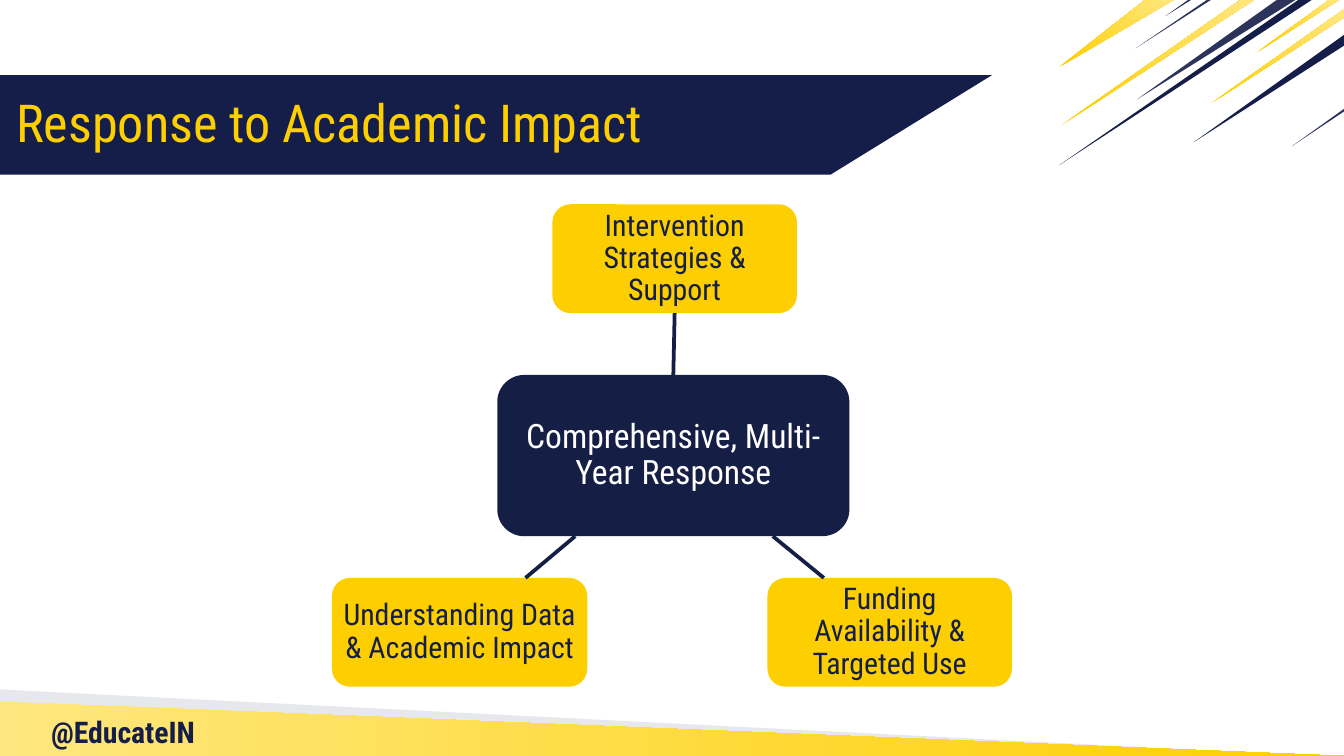
from dataclasses import dataclass

from lxml.etree import SubElement
from pptx import Presentation
from pptx.dml.color import RGBColor
from pptx.enum.shapes import MSO_CONNECTOR, MSO_SHAPE
from pptx.enum.text import MSO_ANCHOR, PP_ALIGN
from pptx.oxml.ns import qn
from pptx.util import Inches, Pt


@dataclass(frozen=True)
class Theme:
    font: str = "Roboto Condensed"
    navy: str = "151E49"
    node_navy: str = "151F46"
    slate: str = "2C345B"
    mist: str = "E7E8EC"
    gold: str = "FECF00"
    pale_gold: str = "FEE77F"
    white: str = "FFFFFF"
    title_size: int = 28
    hub_size: int = 18
    label_size: int = 16


THEME = Theme()
WIDTH = 10
HEIGHT = WIDTH * 9 / 16
RISING = (THEME.gold, THEME.pale_gold, 35)
ACROSS = (THEME.pale_gold, THEME.gold, 0)

# Colour or gradient, then corner points
BANDS = [
    (THEME.mist, [(0, 5.13), (0, HEIGHT), (8.9, 5.58)]),
    (THEME.navy, [(0, 0.56), (0, 1.3), (6.18, 1.3), (7.38, 0.56)]),
]
STREAKS = [
    (RISING, [(9.35, 0.39), (9.96, 0), (9.89, 0)]),
    (THEME.navy, [(7.88, 1.23), (9.76, 0), (9.66, 0)]),
    (RISING, [(8.52, 0), (7.88, 0.5), (8.73, 0)]),
    (RISING, [(10, 0.13), (10, 0.07), (9.01, 0.77)]),
    (THEME.slate, [(9.64, 0), (9.5, 0), (8.46, 0.74)]),
    (THEME.navy, [(8.88, 1.06), (10, 0.34), (10, 0.26)]),
    (THEME.slate, [(10, 0.83), (10, 0.81), (9.61, 1.09)]),
    (THEME.navy, [(8.67, 0.12), (8.86, 0), (8.84, 0)]),
    (RISING, [(7.9, 0.93), (9.33, 0), (9.23, 0)]),
    (THEME.slate, [(8.45, 0.36), (9.01, 0), (8.98, 0)]),
]
FOOTER = [(ACROSS, [(0, 5.22), (0, HEIGHT), (WIDTH, HEIGHT)])]


def set_all(target, values):
    for name, value in values.items():
        setattr(target, name, value)


def paint(shape, colouring):
    if isinstance(colouring, tuple):
        *colours, angle = colouring
        shape.fill.gradient()
        shape.fill.gradient_angle = angle
        for stop, colour in zip(shape.fill.gradient_stops, colours):
            stop.color.rgb = RGBColor.from_string(colour)
    else:
        shape.fill.solid()
        shape.fill.fore_color.rgb = RGBColor.from_string(colouring)
    shape.line.fill.background()
    shape.shadow.inherit = False


def add_polygons(slide, polygons):
    for colouring, corners in polygons:
        start, *others = [(Inches(x), Inches(y)) for x, y in corners]
        builder = slide.shapes.build_freeform(*start)
        builder.add_line_segments(others, close=True)
        paint(builder.convert_to_shape(), colouring)


def write(shape, text, size, colour, inset, bold=False,
          align=PP_ALIGN.LEFT, anchor=MSO_ANCHOR.MIDDLE, spacing=0.9):
    frame = shape.text_frame
    margins = dict.fromkeys(
        ("margin_left", "margin_top", "margin_right", "margin_bottom"), Inches(inset))
    set_all(frame, {"text": text, "word_wrap": True, "vertical_anchor": anchor, **margins})
    paragraph = frame.paragraphs[0]
    set_all(paragraph, {"alignment": align, "line_spacing": spacing,
                        "space_before": Pt(0)})
    font = paragraph.runs[0].font
    set_all(font, {"name": THEME.font, "size": Pt(size), "bold": bold})
    font.color.rgb = RGBColor.from_string(colour)


def add_node(slide, text, box, fill, colour, size, inset):
    node = slide.shapes.add_shape(MSO_SHAPE.ROUNDED_RECTANGLE, *map(Inches, box))
    paint(node, fill)
    write(node, text, size, colour, inset, align=PP_ALIGN.CENTER)
    return node


def add_link(slide, start, end):
    link = slide.shapes.add_connector(
        MSO_CONNECTOR.STRAIGHT, *map(Inches, (*start, *end)))
    link.line.width = Pt(2)
    link.line.color.rgb = RGBColor.from_string(THEME.node_navy)
    SubElement(link.element.spPr, qn("a:effectLst"))
    return link


def add_title(slide):
    title = slide.shapes.title
    set_all(title, {"left": Inches(0.12), "top": Inches(0.56),
                    "width": Inches(6.38), "height": Inches(0.75)})
    write(title, "Response to Academic Impact", THEME.title_size, THEME.gold, 0)
    # Bring the title in front of its band
    title.element.getparent().append(title.element)


def add_handle(slide):
    handle = slide.shapes.add_textbox(*map(Inches, (0.33, 5.26, 2.04, 0.2)))
    write(handle, "@EducateIN", THEME.label_size, THEME.navy, 0.05,
          bold=True, anchor=MSO_ANCHOR.TOP, spacing=1.0)


def add_diagram(slide):
    hub = add_node(slide, "Comprehensive, Multi-Year Response", (3.7, 2.79, 2.62, 1.2),
                   THEME.node_navy, THEME.white, THEME.hub_size, 0.05)
    branches = [
        ("Intervention Strategies & Support", (4.11, 1.52, 1.82, 0.81)),
        ("Funding Availability & Targeted Use", (5.71, 4.3, 1.82, 0.81)),
        ("Understanding Data & Academic Impact", (2.47, 4.3, 1.9, 0.81)),
    ]
    intervention, *_ = [
        add_node(slide, text, box, THEME.gold, THEME.node_navy, THEME.label_size, 0.04)
        for text, box in branches
    ]

    # Links from the hub to its branches
    upward = add_link(slide, (5.01, 2.79), (5.02, 2.33))
    upward.begin_connect(hub, 0)
    upward.end_connect(intervention, 2)
    add_link(slide, (5.75, 3.99), (6.13, 4.3))
    add_link(slide, (4.28, 3.99), (3.91, 4.3))


def main():
    deck = Presentation()
    set_all(deck, {"slide_width": Inches(WIDTH), "slide_height": Inches(HEIGHT)})
    slide = deck.slides.add_slide(deck.slide_layouts[5])

    # Background decoration
    add_polygons(slide, BANDS + STREAKS + FOOTER)

    # Content
    add_handle(slide)
    add_title(slide)
    add_diagram(slide)
    deck.save("out.pptx")


if __name__ == "__main__":
    main()
